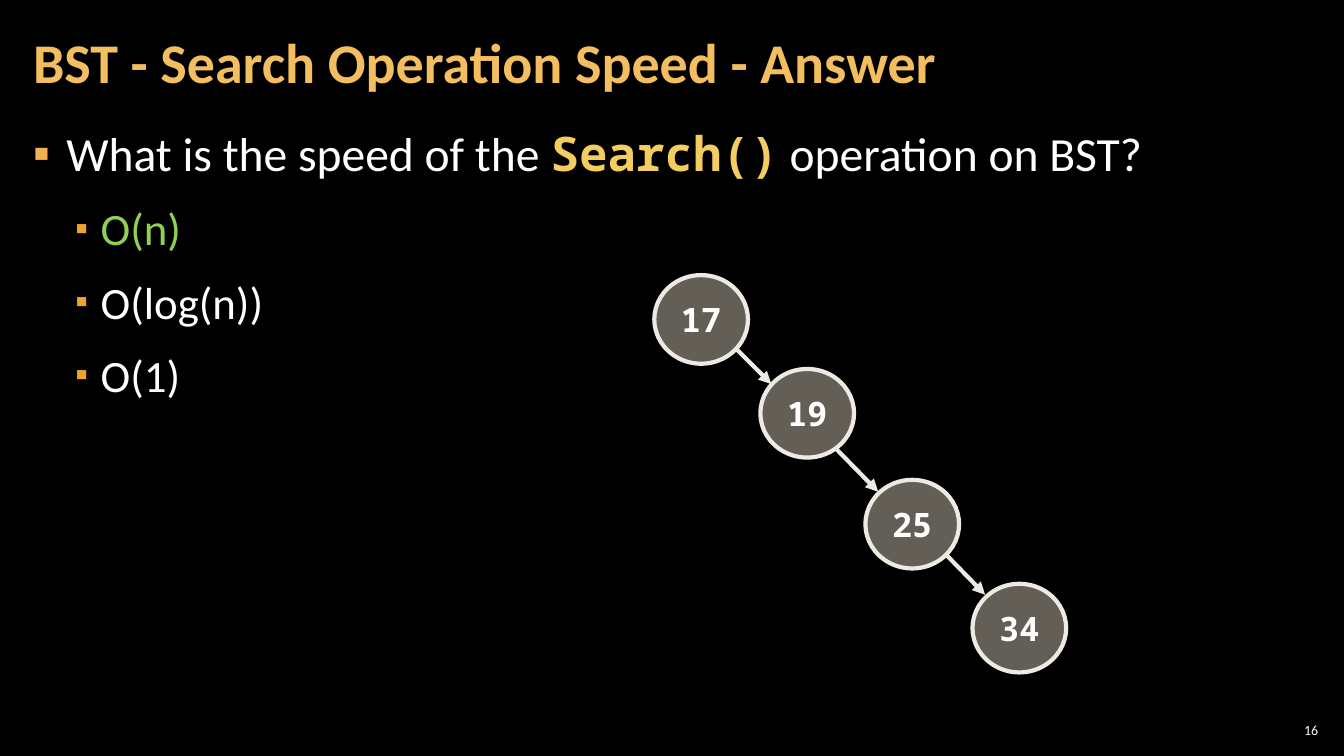
from pptx import Presentation
from pptx.dml.color import RGBColor
from pptx.enum.shapes import MSO_CONNECTOR, MSO_SHAPE
from pptx.enum.text import MSO_ANCHOR, PP_ALIGN
from pptx.oxml import parse_xml
from pptx.oxml.ns import nsdecls
from pptx.util import Emu, Inches, Pt

BLACK = RGBColor(0x00, 0x00, 0x00)
WHITE = RGBColor(0xFF, 0xFF, 0xFF)
TITLE_GOLD = RGBColor(0xF3, 0xBE, 0x60)
CODE_YELLOW = RGBColor(0xF3, 0xCD, 0x60)
ANSWER_GREEN = RGBColor(0x92, 0xD0, 0x50)
QUESTION_BULLET = RGBColor(0xF2, 0xB2, 0x54)
OPTION_BULLET = RGBColor(0xF0, 0xA2, 0x2E)
NODE_FILL = RGBColor(0xC7, 0xBF, 0xAC)
NODE_LINE = RGBColor(0xEC, 0xEA, 0xE3)
SANS, MONO = "Calibri", "Noto Sans Mono"

presentation = Presentation()
presentation.slide_width = Inches(13.33)
presentation.slide_height = Inches(7.5)
CELL = presentation.slide_height / 36  # square grid: 64 columns by 36 rows


def cells(*counts):
    """Turn counts of grid cells into lengths."""
    return [Emu(round(count * CELL)) for count in counts]


def style(run, size, color, name=SANS, bold=False):
    run.font.size = Pt(size)
    run.font.name = name
    run.font.bold = bold
    run.font.color.rgb = color


slide = presentation.slides.add_slide(presentation.slide_layouts[5])
slide.background.fill.solid()
slide.background.fill.fore_color.rgb = BLACK

# Title
title = slide.shapes.title
title.left, title.top, title.width, title.height = cells(1, 0.2, 50.25, 5.8)
title.text_frame.text = "BST - Search Operation Speed - Answer"

# Question, answer options and slide number
body = slide.shapes.add_textbox(*cells(1, 5.6, 62, 29.65))
number = slide.shapes.add_textbox(*cells(60.7, 34.27, 2.25, 1))
number.text_frame.text = "16"

for shape, side in ((title, 0.12), (body, 0.12), (number, 0.04)):
    frame = shape.text_frame
    frame.word_wrap = True
    frame.margin_left = frame.margin_right = Inches(side)
    frame.margin_top = frame.margin_bottom = Inches(0.04)
    frame.vertical_anchor = MSO_ANCHOR.TOP if shape is body else MSO_ANCHOR.MIDDLE

title_paragraph = title.text_frame.paragraphs[0]
title_paragraph.alignment = PP_ALIGN.LEFT
title_paragraph.line_spacing = 0.9
style(title_paragraph.runs[0], 40, TITLE_GOLD, bold=True)
number_paragraph = number.text_frame.paragraphs[0]
number_paragraph.alignment = PP_ALIGN.RIGHT
style(number_paragraph.runs[0], 10, WHITE)

# Each line: level, left margin, hanging indent, bullet colour, bullet size, runs
question = [("What is the speed of the ", WHITE, SANS), ("Search()", CODE_YELLOW, MONO),
            (" operation on BST?", WHITE, SANS)]
lines = [(0, 0.33, 0.33, QUESTION_BULLET, 100, question)]
for option, color in (("O(n)", ANSWER_GREEN), ("O(log(n))", WHITE), ("O(1)", WHITE)):
    lines.append((1, 0.67, 0.25, OPTION_BULLET, 80, [(option, color, SANS)]))

for index, (level, margin, hanging, bullet_color, bullet_size, runs) in enumerate(lines):
    frame = body.text_frame
    paragraph = frame.add_paragraph() if index else frame.paragraphs[0]
    paragraph.level = level
    paragraph.line_spacing = 1.05
    paragraph.space_before = Pt(6 if index else 0)
    paragraph.space_after = Pt(6)
    properties = paragraph._p.get_or_add_pPr()
    properties.set("marL", str(Inches(margin)))
    properties.set("indent", str(-Inches(hanging)))
    for bullet in (f'<a:buClr {nsdecls("a")}><a:srgbClr val="{bullet_color}"/></a:buClr>',
                   f'<a:buSzPct {nsdecls("a")} val="{bullet_size * 1000}"/>',
                   f'<a:buFont {nsdecls("a")} typeface="{SANS}"/>',
                   f'<a:buChar {nsdecls("a")} char="▪"/>'):
        properties.append(parse_xml(bullet))
    for text, color, name in runs:
        run = paragraph.add_run()
        run.text = text
        style(run, 32 if level else 34, color, name, bold=name == MONO)

# Tree that has degenerated into a list
nodes = [("17", 31.15, 13.1), ("19", 36.2, 17.57), ("25", 41.2, 22.85), ("34", 46.3, 27.8)]
for value, column, row in nodes:
    node = slide.shapes.add_shape(MSO_SHAPE.OVAL, *cells(column, row, 4.46, 4.22))
    node.shadow.inherit = False
    node.fill.solid()
    node.fill.fore_color.rgb = NODE_FILL
    fill_color = node.fill._xPr.solidFill[0]
    fill_color.append(parse_xml(f'<a:alpha {nsdecls("a")} val="50000"/>'))
    node.line.color.rgb = NODE_LINE
    node.line.width = Pt(3)
    frame = node.text_frame
    frame.text = value
    frame.word_wrap = False
    frame.vertical_anchor = MSO_ANCHOR.MIDDLE
    frame.paragraphs[0].alignment = PP_ALIGN.CENTER
    style(frame.paragraphs[0].runs[0], 24, WHITE, MONO, bold=True)

links = [(35, 16.56, 36.72, 18.29), (39.84, 21.41, 41.81, 23.42), (44.98, 26.35, 46.9, 28.32)]
for ends in links:
    link = slide.shapes.add_connector(MSO_CONNECTOR.STRAIGHT, *cells(*ends))
    link.line.color.rgb = NODE_LINE
    link.line.width = Pt(3)
    link.line._get_or_add_ln().append(parse_xml(f'<a:tailEnd {nsdecls("a")} type="triangle"/>'))
    link._element.spPr.append(parse_xml(f'<a:effectLst {nsdecls("a")}/>'))

presentation.save("out.pptx")
